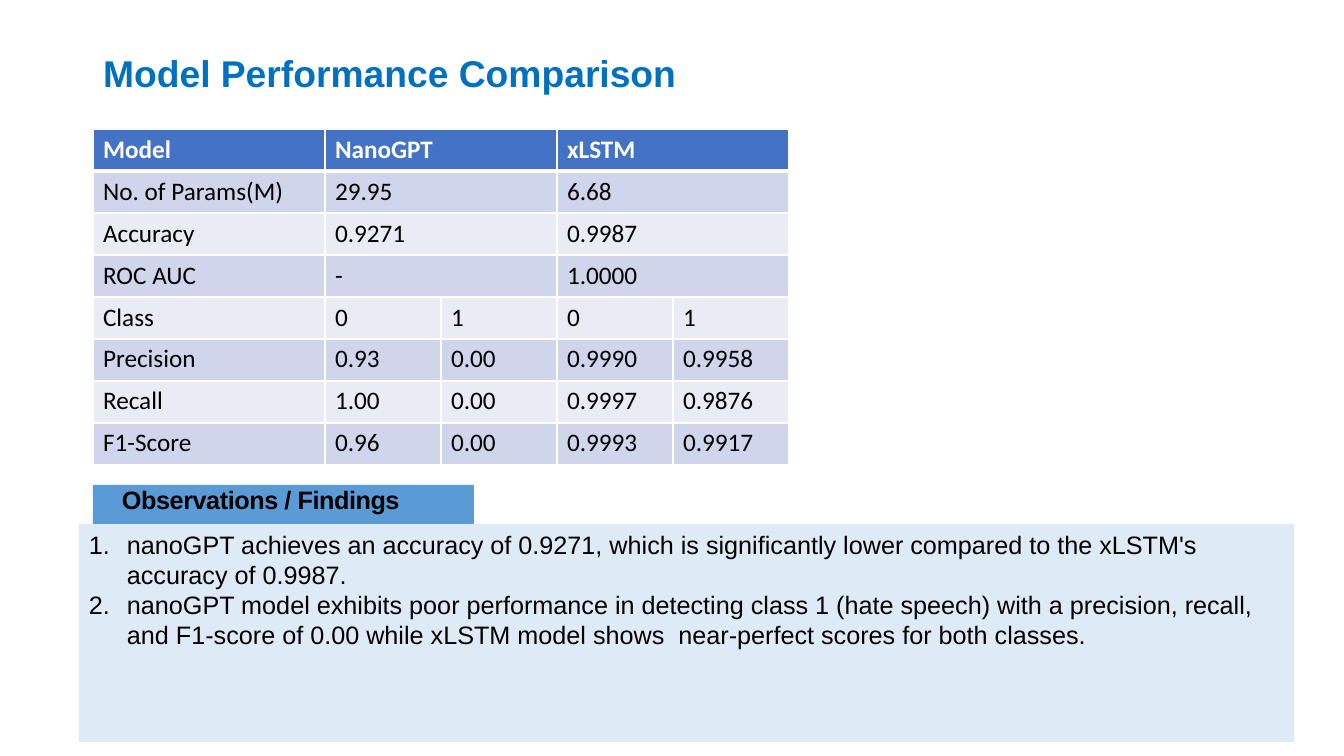
import pptx
import pptx.dml.color
import pptx.enum.shapes
import pptx.enum.text
import pptx.oxml
import pptx.oxml.ns
import pptx.util
from dataclasses import dataclass
from lxml import etree

EMU_PER_PX = 914400 / 100.8
SLIDE_SIZE = (1344, 756)


@dataclass(frozen=True)
class Theme:
    heading_font: str = "Arial"
    table_font: str = "Calibri"
    title_size: float = 26.6
    body_size: float = 18
    title: str = "0070C0"
    text: str = "000000"
    white: str = "FFFFFF"
    header: str = "4472C4"
    bands: tuple = ("CFD5EA", "E9EBF5")
    accent: str = "5B9BD5"
    panel_opacity: int = 20


def px(length):
    return pptx.util.Emu(round(length * EMU_PER_PX))


def rgb(color):
    return pptx.dml.color.RGBColor.from_string(color)


def add_xml(parent, tag, **attributes):
    element = etree.SubElement(parent, pptx.oxml.ns.qn(tag))
    for name, value in attributes.items():
        element.set(name, str(value))
    return element


class SlideBuilder:
    def __init__(self, presentation, theme):
        self.theme = theme
        self.slide = presentation.slides.add_slide(presentation.slide_layouts[5])

    def style(self, paragraph, font_name, size, color, bold=False):
        paragraph.alignment = pptx.enum.text.PP_ALIGN.LEFT
        font = paragraph.font
        font.name, font.size, font.bold = font_name, pptx.util.Pt(size), bold
        font.color.rgb = rgb(color)

    def title(self, text, left, top, width, height):
        shape = self.slide.shapes.title
        shape.left, shape.top = px(left), px(top)
        shape.width, shape.height = px(width), px(height)
        frame = shape.text_frame
        frame.text = text
        frame.auto_size = pptx.enum.text.MSO_AUTO_SIZE.NONE
        frame.vertical_anchor = pptx.enum.text.MSO_ANCHOR.MIDDLE
        paragraph = frame.paragraphs[0]
        paragraph.line_spacing = 0.9
        self.style(paragraph, self.theme.heading_font, self.theme.title_size,
                   self.theme.title, bold=True)

    def rectangle(self, left, top, width, height, opacity=100):
        shape = self.slide.shapes.add_shape(
            pptx.enum.shapes.MSO_SHAPE.RECTANGLE,
            px(left), px(top), px(width), px(height))
        shape.shadow.inherit = False
        shape.line.fill.background()
        shape.fill.solid()
        shape.fill.fore_color.rgb = rgb(self.theme.accent)
        if opacity < 100:
            color = shape._element.spPr.find(".//" + pptx.oxml.ns.qn("a:srgbClr"))
            add_xml(color, "a:alpha", val=opacity * 1000)
        frame = shape.text_frame
        frame.word_wrap = True
        frame.vertical_anchor = pptx.enum.text.MSO_ANCHOR.TOP
        return frame

    def label(self, text, left, top, width, height):
        frame = self.rectangle(left, top, width, height)
        frame.margin_left, frame.margin_top = px(29), px(4)
        frame.margin_right = frame.margin_bottom = 0
        frame.text = text
        paragraph = frame.paragraphs[0]
        paragraph.line_spacing = pptx.util.Pt(18.4)
        self.style(paragraph, self.theme.heading_font, self.theme.body_size,
                   self.theme.text, bold=True)
        paragraph.runs[0]._r.get_or_add_rPr().set("spc", "-30")

    def numbered_panel(self, items, left, top, width, height):
        frame = self.rectangle(left, top, width, height, self.theme.panel_opacity)
        frame.text = "\n".join(items)
        for paragraph in frame.paragraphs:
            properties = paragraph._p.get_or_add_pPr()
            properties.set("marL", str(px(38)))
            properties.set("indent", str(-px(38)))
            add_xml(properties, "a:buFont", typeface="+mj-lt")
            add_xml(properties, "a:buAutoNum", type="arabicPeriod")
            self.style(paragraph, self.theme.heading_font, self.theme.body_size,
                       self.theme.text)

    def cell_borders(self, cell, top, bottom):
        properties = cell._tc.get_or_add_tcPr()
        widths = {"a:lnL": 1, "a:lnR": 1, "a:lnT": top, "a:lnB": bottom}
        for position, (tag, points) in enumerate(widths.items()):
            line = add_xml(properties, tag, w=pptx.util.Pt(points))
            add_xml(add_xml(line, "a:solidFill"), "a:srgbClr", val=self.theme.white)
            properties.insert(position, line)

    def table(self, rows, left, top, column_widths, row_height):
        """Rows shorter than the grid spread each value over two columns."""
        theme = self.theme
        table = self.slide.shapes.add_table(
            len(rows), len(column_widths), px(left), px(top),
            px(sum(column_widths)), px(row_height * len(rows))).table
        for column, width in zip(table.columns, column_widths):
            column.width = px(width)
        for r, values in enumerate(rows):
            table.rows[r].height = px(row_height)
            is_header = r == 0
            fill = theme.header if is_header else theme.bands[(r - 1) % 2]
            for c in range(len(column_widths)):
                cell = table.cell(r, c)
                cell.fill.solid()
                cell.fill.fore_color.rgb = rgb(fill)
                self.cell_borders(cell, top=3 if r == 1 else 1,
                                  bottom=3 if is_header else 1)
            paired = len(values) < len(column_widths)
            for i, value in enumerate(values):
                c = 2 * i - 1 if paired and i else i
                cell = table.cell(r, c)
                if paired and i:
                    cell.merge(table.cell(r, c + 1))
                cell.text = value
                self.style(cell.text_frame.paragraphs[0], theme.table_font,
                           theme.body_size,
                           theme.white if is_header else theme.text, is_header)


def main():
    presentation = pptx.Presentation()
    presentation.slide_width, presentation.slide_height = map(px, SLIDE_SIZE)
    builder = SlideBuilder(presentation, Theme())

    # Title
    builder.title("Model Performance Comparison", 93, 40, 1159, 70)

    # Metrics for both models
    metrics = [
        ["Model", "NanoGPT", "xLSTM"],
        ["No. of Params(M)", "29.95", "6.68"],
        ["Accuracy", "0.9271", "0.9987"],
        ["ROC AUC", "-", "1.0000"],
        ["Class", "0", "1", "0", "1"],
        ["Precision", "0.93", "0.00", "0.9990", "0.9958"],
        ["Recall", "1.00", "0.00", "0.9997", "0.9876"],
        ["F1-Score", "0.96", "0.00", "0.9993", "0.9917"],
    ]
    builder.table(metrics, 93, 129, [232] + [116] * 4, 42)

    # Findings
    builder.label("Observations / Findings", 93, 485, 381, 39)
    builder.numbered_panel([
        "nanoGPT achieves an accuracy of 0.9271, which is significantly lower "
        "compared to the xLSTM's accuracy of 0.9987.",
        "nanoGPT model exhibits poor performance in detecting class 1 (hate speech) "
        "with a precision, recall, and F1-score of 0.00 while xLSTM model shows  "
        "near-perfect scores for both classes.",
    ], 79, 524, 1215, 218)

    presentation.save("out.pptx")


if __name__ == "__main__":
    main()
